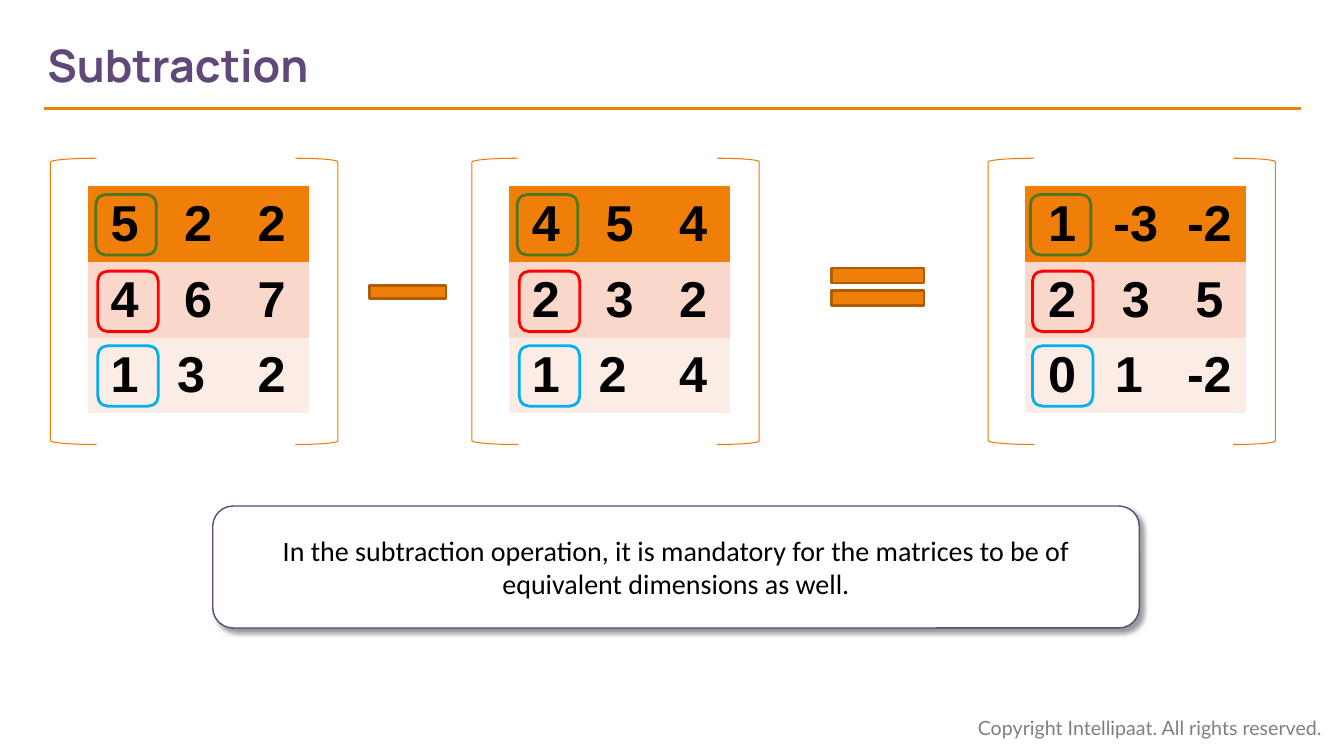
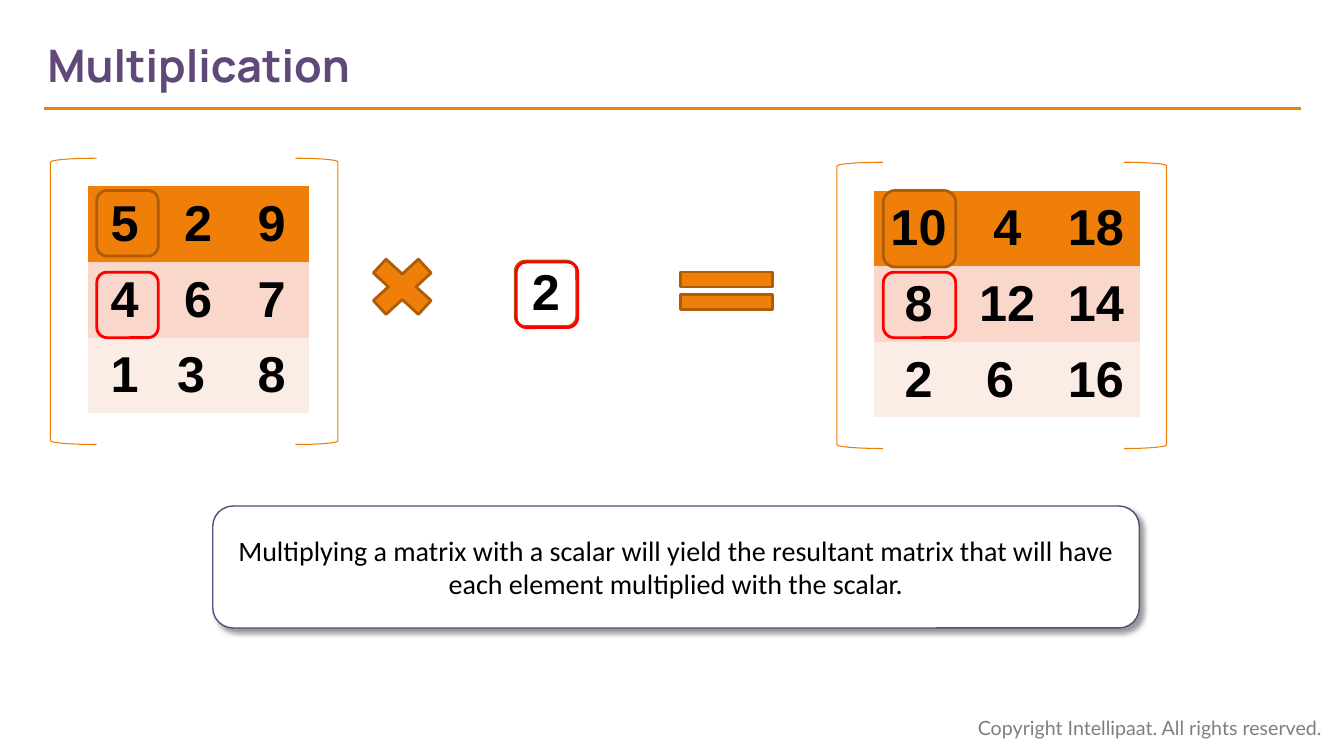
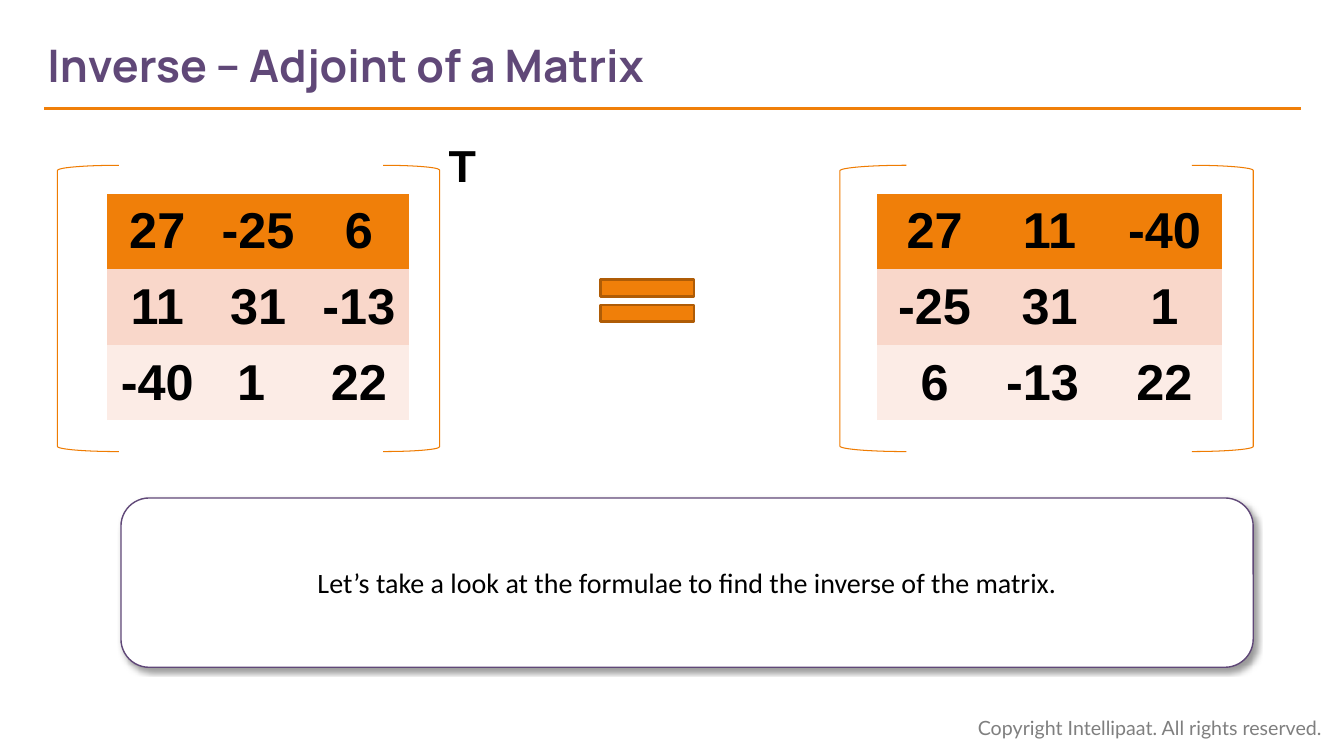
from lxml.etree import SubElement
from pptx import Presentation
from pptx.dml.color import RGBColor
from pptx.enum.shapes import MSO_CONNECTOR, MSO_SHAPE as Shape
from pptx.enum.text import MSO_ANCHOR as Anchor, MSO_AUTO_SIZE as AutoSize, PP_ALIGN as Align
from pptx.oxml.ns import qn
from pptx.util import Inches, Pt

ORANGE, BROWN, BRACKET = "F07F09", "AF5C06", "EF7C02"
PURPLE, GREY, BLACK, WHITE = "604878", "7F7F7F", "000000", "FFFFFF"
GREEN, RED, BLUE = "50771B", "FF0000", "00B0F0"
ROW_FILLS = [ORANGE, "F9D7CA", "FCECE6"]
NO_TABLE_STYLE = "{2D5ABB26-0587-4C30-8999-92F81FD0307C}"
ROW_HEIGHT = 0.75
BRACKET_HEIGHT = 2.84


def color(value):
    return RGBColor.from_string(value)


class MatrixDeck:
    """Draws matrix lesson slides in one shared style."""

    def __init__(self):
        self.presentation = Presentation()
        self.presentation.slide_width = Inches(13.33)
        self.presentation.slide_height = Inches(7.5)
        self.slide = None

    def add_slide(self, title):
        self.slide = self.presentation.slides.add_slide(self.presentation.slide_layouts[6])
        self.text(9.6, 7.05, 3.67, 0.34, "Copyright Intellipaat. All rights reserved.",
                  14, "Lato", GREY, anchor=Anchor.TOP)
        rule = self.slide.shapes.add_connector(
            MSO_CONNECTOR.STRAIGHT, Inches(12.9), Inches(1.08), Inches(0.44), Inches(1.08))
        rule.line.color.rgb = color(ORANGE)
        rule.line.width = Pt(2.25)
        SubElement(rule.element.spPr, qn("a:effectLst"))
        box = self.text(0.47, 0.22, 9.47, 0.84, title, 32, "Manrope", PURPLE, bold=True)
        box.text_frame.margin_left = 0
        box.text_frame.auto_size = AutoSize.NONE

    def set_text(self, frame, text, size, font, ink, bold=False, align=Align.LEFT):
        frame.text = text
        for paragraph in frame.paragraphs:
            paragraph.alignment = align
            for run in paragraph.runs:
                run.font.size = Pt(size)
                run.font.name = font
                run.font.bold = bold
                run.font.color.rgb = color(ink)

    def text(self, left, top, width, height, text, size, font, ink,
             bold=False, align=Align.LEFT, anchor=Anchor.MIDDLE):
        box = self.slide.shapes.add_textbox(
            Inches(left), Inches(top), Inches(width), Inches(height))
        frame = box.text_frame
        frame.word_wrap = True
        frame.auto_size = AutoSize.SHAPE_TO_FIT_TEXT
        frame.vertical_anchor = anchor
        self.set_text(frame, text, size, font, ink, bold, align)
        return box

    def shape(self, kind, left, top, width, height, line, weight=2, fill=None):
        shape = self.slide.shapes.add_shape(
            kind, Inches(left), Inches(top), Inches(width), Inches(height))
        shape.shadow.inherit = False
        if fill:
            shape.fill.solid()
            shape.fill.fore_color.rgb = color(fill)
        else:
            shape.fill.background()
        shape.line.color.rgb = color(line)
        shape.line.width = Pt(weight)
        return shape

    def operator(self, kind, left, top, width, height):
        self.shape(kind, left, top, width, height, BROWN, fill=ORANGE)

    def ring(self, left, top, width, height, line):
        self.shape(Shape.FLOWCHART_ALTERNATE_PROCESS, left, top, width, height, line)

    def callout(self, left, top, width, height, text):
        shape = self.shape(Shape.ROUNDED_RECTANGLE, left, top, width, height, PURPLE, 1, WHITE)
        frame = shape.text_frame
        frame.word_wrap = True
        frame.vertical_anchor = Anchor.MIDDLE
        self.set_text(frame, text, 20, "Calibri", BLACK, align=Align.CENTER)
        effects = shape.element.spPr.find(qn("a:effectLst"))
        shadow = SubElement(effects, qn("a:outerShdw"), blurRad=str(Pt(4)), dist=str(Pt(3)),
                            dir="2700000", algn="tl", rotWithShape="0")
        shade = SubElement(shadow, qn("a:srgbClr"), val=BLACK)
        SubElement(shade, qn("a:alpha"), val="40000")

    def matrix(self, left, top, span, column_width, rows,
               left_bracket=0.46, right_bracket=0.42, indent=0.37):
        self.shape(Shape.LEFT_BRACKET, left, top, left_bracket, BRACKET_HEIGHT, BRACKET, 0.75)
        self.shape(Shape.RIGHT_BRACKET, left + span - right_bracket, top,
                   right_bracket, BRACKET_HEIGHT, BRACKET, 0.75)
        count = len(rows[0])
        holder = self.slide.shapes.add_table(
            len(rows), count, Inches(left + indent), Inches(top + 0.28),
            Inches(column_width * count), Inches(ROW_HEIGHT * len(rows)))
        for style in holder.element.iter(qn("a:tableStyleId")):
            style.text = NO_TABLE_STYLE
        table = holder.table
        for column in table.columns:
            column.width = Inches(column_width)
        for row, values, fill in zip(table.rows, rows, ROW_FILLS):
            row.height = Inches(ROW_HEIGHT)
            for cell, value in zip(row.cells, values):
                cell.fill.solid()
                cell.fill.fore_color.rgb = color(fill)
                cell.vertical_anchor = Anchor.MIDDLE
                self.set_text(cell.text_frame, value, 36, "Arial", BLACK, True, Align.CENTER)


def subtraction(deck):
    deck.add_slide("Subtraction")
    deck.callout(2.11, 5.02, 9.19, 1.21,
                 "In the subtraction operation, it is mandatory for the matrices "
                 "to be of equivalent dimensions as well.")
    deck.operator(Shape.MATH_MINUS, 3.53, 2.62, 1.03, 0.55)
    deck.operator(Shape.MATH_EQUAL, 8.08, 2.53, 1.25, 0.63)
    matrices = [
        (0.5, 0.95, [["5", "2", "2"], ["4", "6", "7"], ["1", "3 ", "2"]]),
        (4.68, 5.13, [["4", "5", "4"], ["2", "3", "2"], ["1", "2 ", "4"]]),
        (9.8, 10.22, [["1", "-3", "-2"], ["2", "3", "5"], ["0", "1 ", "-2"]]),
    ]
    for left, ring_left, rows in matrices:
        deck.matrix(left, 1.57, 2.85, 0.73, rows)
        for shift, top, line in [(0, 1.93, GREEN), (0.02, 2.69, RED), (0.02, 3.43, BLUE)]:
            deck.ring(ring_left + shift, top, 0.6, 0.6, line)


def multiplication(deck):
    deck.add_slide("Multiplication")
    deck.matrix(0.5, 1.57, 2.85, 0.73, [["5", "2", "9"], ["4", "6", "7"], ["1", "3 ", "8"]])
    deck.matrix(8.3, 1.61, 3.27, 0.88,
                [["10", "4", "18"], ["8", "12", "14"], ["2", "6 ", "16"]])
    deck.operator(Shape.MATH_EQUAL, 6.58, 2.57, 1.25, 0.63)
    deck.callout(2.11, 5.02, 9.19, 1.21,
                 "Multiplying a matrix with a scalar will yield the resultant matrix "
                 "that will have each element multiplied with the scalar.")
    deck.operator(Shape.MATH_MULTIPLY, 3.56, 2.45, 0.86, 0.79)
    deck.text(4.93, 2.53, 0.97, 0.71, "2", 36, "Arial", BLACK, True, Align.CENTER)
    rings = [
        (0.96, 1.89, 0.61, 0.65, BROWN), (8.76, 1.89, 0.72, 0.76, BROWN),
        (5.11, 2.59, 0.61, 0.65, BROWN), (0.96, 2.7, 0.61, 0.65, RED),
        (5.12, 2.6, 0.61, 0.65, RED), (8.76, 2.7, 0.72, 0.65, RED),
    ]
    for ring in rings:
        deck.ring(*ring)


def adjoint(deck):
    deck.add_slide("Inverse – Adjoint of a Matrix")
    deck.matrix(8.33, 1.64, 4.1, 1.14,
                [["27", "11", "-40"], ["-25", "31", "1"], ["6", "-13 ", "22"]], 0.66, 0.61)
    deck.operator(Shape.MATH_EQUAL, 5.79, 2.63, 1.26, 0.71)
    deck.matrix(0.57, 1.64, 3.79, 1,
                [["27", "-25", "6"], ["11", "31", "-13"], ["-40", "1 ", "22"]],
                0.61, 0.56, 0.49)
    deck.callout(1.2, 4.94, 11.23, 1.68,
                 "Let’s take a look at the formulae to find the inverse of the matrix.")
    deck.text(4.35, 1.32, 0.69, 0.64, "T", 32, "Arial", BLACK, True, anchor=Anchor.TOP)


def main():
    deck = MatrixDeck()
    for build in (subtraction, multiplication, adjoint):
        build(deck)
    deck.presentation.save("out.pptx")


if __name__ == "__main__":
    main()
